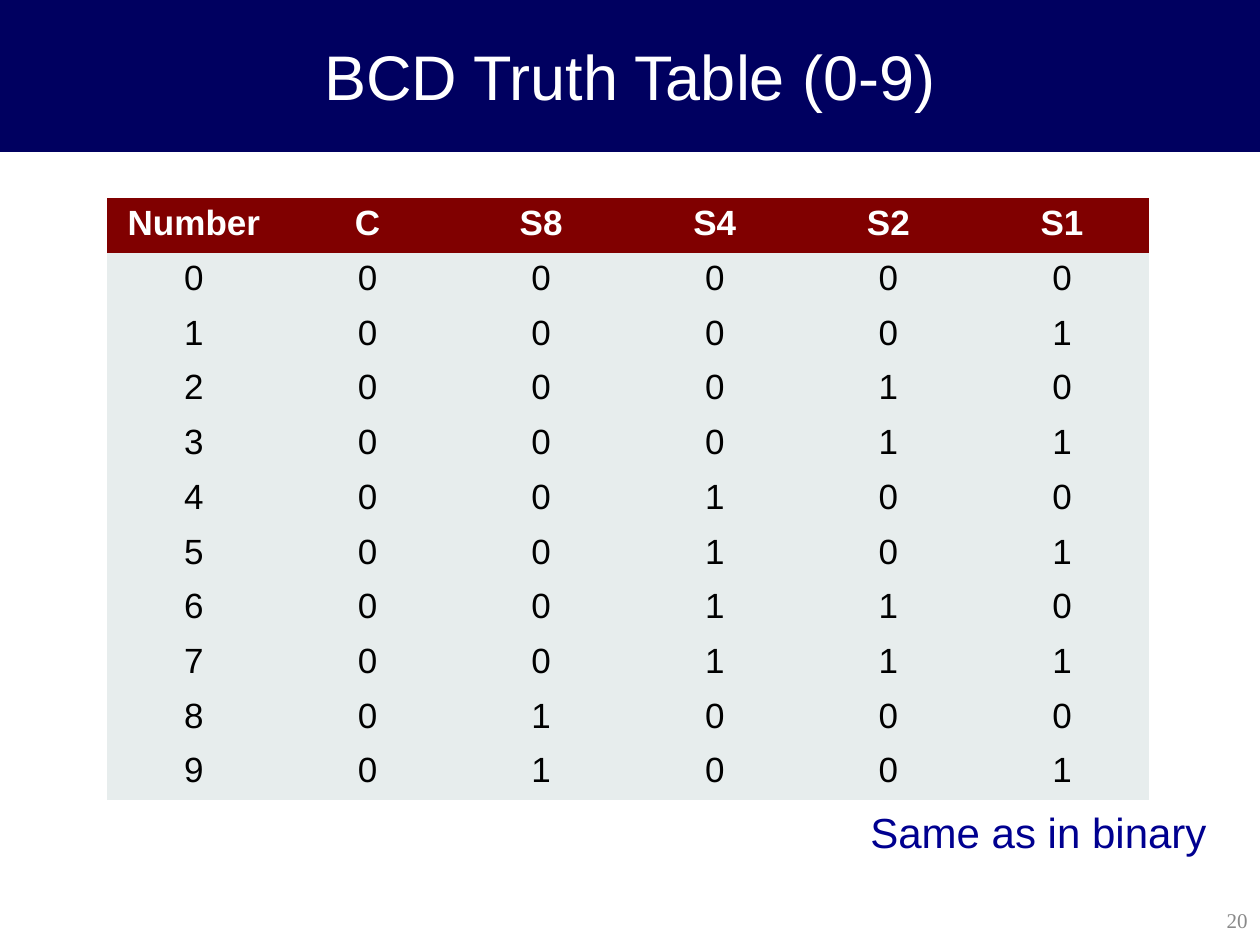
import pptx
import pptx.dml.color
import pptx.enum.shapes
import pptx.enum.text
import pptx.oxml.ns
import pptx.util

Inches = pptx.util.Inches
Align = pptx.enum.text.PP_ALIGN
Anchor = pptx.enum.text.MSO_ANCHOR
Fit = pptx.enum.text.MSO_AUTO_SIZE

PLAIN = "{2D5ABB26-0587-4C30-8999-92F81FD0307C}"
HEADS = ["Number", "C", "S8", "S4", "S2", "S1"]


def paint(color, code):
    color.rgb = pptx.dml.color.RGBColor.from_string(code)


def flood(fill, code):
    fill.solid()
    paint(fill.fore_color, code)


def write(frame, text, size, code, align, face="Arial", bold=False):
    frame.text = text
    line = frame.paragraphs[0]
    line.alignment = align
    for run in line.runs:
        run.font.name = face
        run.font.size = pptx.util.Pt(size)
        run.font.bold = bold
        paint(run.font.color, code)


def add_title(slide, box, text):
    kind = pptx.enum.shapes.MSO_SHAPE.RECTANGLE
    band = slide.shapes.add_shape(kind, *map(Inches, box))
    band.shadow.inherit = False
    flood(band.fill, "000060")
    paint(band.line.color, "000060")
    band.line.width = pptx.util.Pt(0.75)

    title = slide.shapes.title
    title._element.addprevious(band._element)
    title.left, title.top, title.width, title.height = map(Inches, box)
    frame = title.text_frame
    frame.auto_size = Fit.NONE
    frame.vertical_anchor = Anchor.MIDDLE
    write(frame, text, 36, "FFFFFF", Align.CENTER)


def add_truth(slide, box):
    rows = [HEADS] + [[str(n), *format(n, "05b")] for n in range(10)]
    shape = slide.shapes.add_table(len(rows), len(HEADS), *map(Inches, box))
    table = shape.table
    table.horz_banding = False
    style = table._tbl.tblPr.find(pptx.oxml.ns.qn("a:tableStyleId"))
    style.text = PLAIN
    for r, row in enumerate(rows):
        head = r == 0
        for c, text in enumerate(row):
            cell = table.cell(r, c)
            flood(cell.fill, "800000" if head else "E7EDED")
            ink = "FFFFFF" if head else "000000"
            write(cell.text_frame, text, 20, ink, Align.CENTER, bold=head)


def add_note(slide, box, text):
    frame = slide.shapes.add_textbox(*map(Inches, box)).text_frame
    frame.word_wrap = True
    frame.auto_size = Fit.SHAPE_TO_FIT_TEXT
    write(frame, text, 24, "000090", Align.LEFT)


def add_page(slide, box, text):
    frame = slide.shapes.add_textbox(*map(Inches, box)).text_frame
    frame.word_wrap = True
    frame.vertical_anchor = Anchor.MIDDLE
    write(frame, text, 12, "898989", Align.RIGHT, "Times New Roman")


def main():
    deck = pptx.Presentation()
    deck.slide_width, deck.slide_height = Inches(10), Inches(7.5)
    slide = deck.slides.add_slide(deck.slide_layouts[5])
    add_title(slide, (0, 0, 10, 1.2), "BCD Truth Table (0-9)")
    add_page(slide, (7.88, 7.1, 2.12, 0.4), "20")
    add_truth(slide, (0.85, 1.57, 8.27, 4.78))
    add_note(slide, (6.81, 6.35, 3.03, 0.5), "Same as in binary")
    deck.save("out.pptx")


if __name__ == "__main__":
    main()
